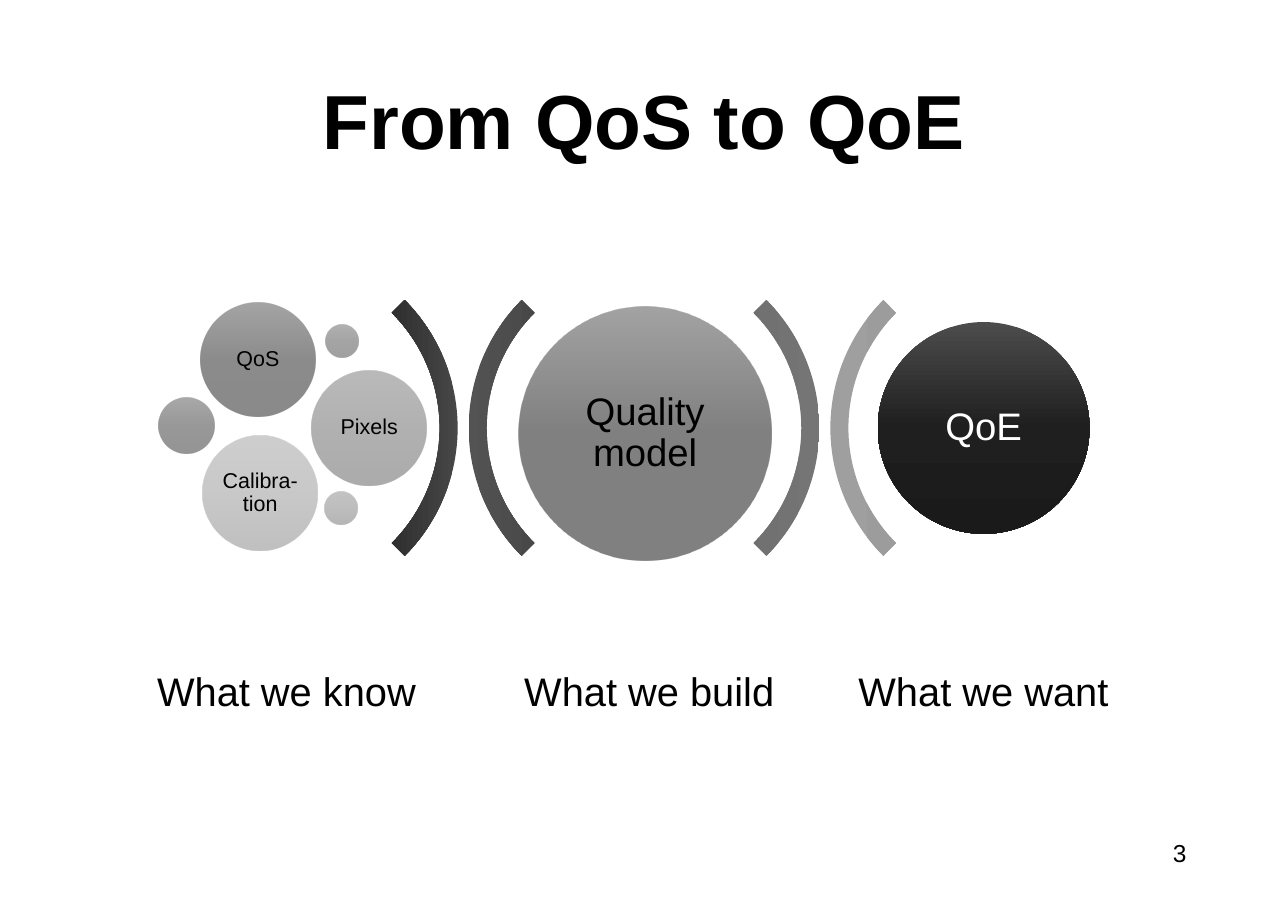
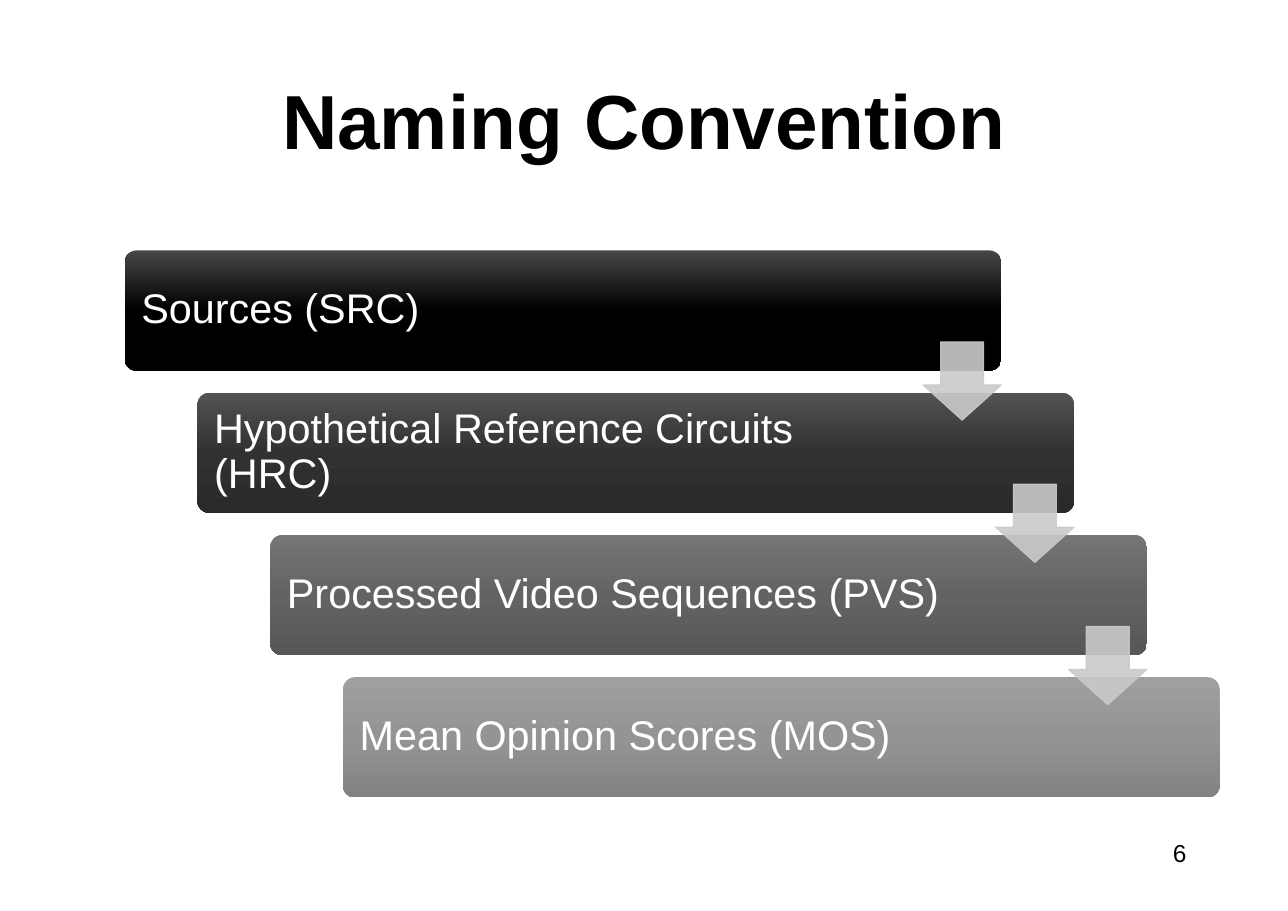
from pptx import Presentation
from pptx import util as u
from pptx.dml.color import RGBColor
from pptx.enum import shapes, text
from pptx.oxml.ns import qn
from lxml import etree

WIDTH, HEIGHT = 11.68, 8.26
BLACK = RGBColor(0x00, 0x00, 0x00)
WHITE = RGBColor(0xFF, 0xFF, 0xFF)
ARROW_GREY = RGBColor(0xCA, 0xCA, 0xCA)
INK = ("474747", "000000", "000000")
COAL = ("4A4A4A", "181818", "141414")
NIGHT = ("4C4C4C", "1F1F1F", "1A1A1A")
CHARCOAL = ("535353", "313131", "2A2A2A")
SLATE = ("636363", "4A4A4A", "414141")
STONE = ("757575", "636363", "575757")
ASH = ("8A8A8A", "7C7C7C", "6C6C6C")
SILVER = ("9F9F9F", "949494", "828282")

LEFT, CENTER, RIGHT = text.PP_ALIGN.LEFT, text.PP_ALIGN.CENTER, text.PP_ALIGN.RIGHT
MIDDLE, TOP = text.MSO_ANCHOR.MIDDLE, text.MSO_ANCHOR.TOP
KINDS = shapes.MSO_SHAPE

TITLE_BOX = (0.87, 0.39, 9.94, 1.38)
NUMBER_BOX = (10.44, 7.54, 0.38, 0.36)

FLOW = {"title": "From QoS to QoE", "number": "3"}
ARC_SIZE, ARC_TOP, ARC_LEFT, ARC_GAP = 3.28, 2.24, 0.87, 0.1
ARC_PAIRS = [(INK, CHARCOAL), (STONE, SILVER)]
CIRCLES = [
    ("Quality model", 5.85, 3.93, 2.3, 25, BLACK, COAL[:0] + INK, 50),
    ("QoS", 2.34, 3.26, 1.04, 14, BLACK, COAL, 50),
    ("", 1.69, 3.86, 0.51, 14, BLACK, CHARCOAL, 50),
    ("", 3.1, 3.09, 0.3, 14, BLACK, SLATE, 50),
    ("Pixels", 3.35, 3.88, 1.04, 14, BLACK, STONE, 50),
    ("", 3.09, 4.61, 0.3, 14, BLACK, ASH, 50),
    ("Calibra-\ntion", 2.36, 4.47, 1.04, 14, BLACK, SILVER, 50),
    ("QoE", 8.92, 3.88, 1.92, 25, WHITE, NIGHT, 100),
]
CAPTIONS = [("What we know", 2.6), ("What we build", 5.89), ("What we want", 8.92)]
CAPTION_TOP, CAPTION_WIDTH, CAPTION_HEIGHT = 5.96, 2.77, 0.66

NAMING = {"title": "Naming Convention", "number": "6"}
STEPS = [
    ("Sources (SRC)", INK),
    ("Hypothetical Reference Circuits (HRC)", CHARCOAL),
    ("Processed Video Sequences (PVS)", STONE),
    ("Mean Opinion Scores (MOS)", SILVER),
]
STEP_LEFT, STEP_TOP, STEP_WIDTH, STEP_HEIGHT = 1.13, 2.27, 7.95, 1.09
STEP_RIGHT, STEP_DOWN = 0.66, 1.29
ARROW_SIZE, ARROW_DROP = 0.71, 0.83


def inches(box):
    return [u.Inches(value) for value in box]


def apply(target, values):
    for name, value in values.items():
        setattr(target, name, value)


def write(shape, words, size, color, align=CENTER, anchor=MIDDLE, bold=False,
          spacing=0.9, insets=(0, 0, 0, 0)):
    frame = shape.text_frame
    sides = ("margin_left", "margin_top", "margin_right", "margin_bottom")
    apply(frame, {"word_wrap": True, "auto_size": text.MSO_AUTO_SIZE.NONE,
                  "vertical_anchor": anchor, **dict(zip(sides, inches(insets)))})
    paragraph = frame.paragraphs[0]
    paragraph.text = words
    apply(paragraph, {"alignment": align, "line_spacing": spacing,
                      "space_before": u.Pt(0)})
    for run in paragraph.runs:
        apply(run.font, {"name": "Arial", "size": u.Pt(size), "bold": bold})
        run.font.color.rgb = color


def add_text(slide, box, words, size, **style):
    write(slide.shapes.add_textbox(*inches(box)), words, size, BLACK, **style)


def add_shape(slide, kind, box, adjustments=(), rotation=0):
    shape = slide.shapes.add_shape(kind, *inches(box))
    shape.shadow.inherit = False
    shape.line.fill.background()
    shape.rotation = rotation
    for index, value in enumerate(adjustments):
        shape.adjustments[index] = value
    return shape


def shade(shape, colors):
    shape.fill.gradient()
    shape.fill.gradient_angle = 270
    stops = shape._element.spPr.find(qn("a:gradFill")).find(qn("a:gsLst"))
    for stop in list(stops):
        stops.remove(stop)
    for position, color in zip((0, 50000, 100000), colors):
        stop = etree.SubElement(stops, qn("a:gs"), pos=str(position))
        etree.SubElement(stop, qn("a:srgbClr"), val=color)


def fade(shape, percent):
    for color in shape._element.spPr.iter(qn("a:srgbClr")):
        etree.SubElement(color, qn("a:alpha"), val=str(percent * 1000))


def add_slide(presentation, content):
    slide = presentation.slides.add_slide(presentation.slide_layouts[5])
    title = slide.shapes.title
    apply(title, dict(zip(("left", "top", "width", "height"), inches(TITLE_BOX))))
    write(title, content["title"], 50, BLACK, bold=True, spacing=1.0,
          insets=(0.06,) * 4)
    add_text(slide, NUMBER_BOX, content["number"], 16, align=RIGHT, anchor=TOP,
             spacing=1.0, insets=(0.06,) * 4)
    return slide


def build_flow(presentation):
    slide = add_slide(presentation, FLOW)
    for index, pair in enumerate(ARC_PAIRS):
        closing = ARC_LEFT + index * ARC_SIZE
        opening = closing + ARC_SIZE + ARC_GAP
        for left, rotation, colors in zip((closing, opening), (90, 270), pair):
            arc = add_shape(slide, KINDS.BLOCK_ARC,
                            (left, ARC_TOP, ARC_SIZE, ARC_SIZE),
                            (135, 189, 0.05), rotation)
            shade(arc, colors)
    for words, x, y, diameter, size, color, colors, opacity in CIRCLES:
        circle = add_shape(slide, KINDS.OVAL, (x - diameter / 2, y - diameter / 2,
                                               diameter, diameter))
        shade(circle, colors)
        if opacity < 100:
            fade(circle, opacity)
        if words:
            write(circle, words, size, color)
    for words, x in CAPTIONS:
        add_text(slide, (x - CAPTION_WIDTH / 2, CAPTION_TOP, CAPTION_WIDTH,
                         CAPTION_HEIGHT), words, 26)


def build_naming(presentation):
    slide = add_slide(presentation, NAMING)
    corners = [(STEP_LEFT + index * STEP_RIGHT, STEP_TOP + index * STEP_DOWN)
               for index in range(len(STEPS))]
    for (words, colors), (left, top) in zip(STEPS, corners):
        bar = add_shape(slide, KINDS.ROUNDED_RECTANGLE,
                        (left, top, STEP_WIDTH, STEP_HEIGHT), (0.1,))
        shade(bar, colors)
        write(bar, words, 27, WHITE, align=LEFT, insets=(0.12, 0.11, 1.48, 0.11))
    for left, top in corners[:-1]:
        arrow = add_shape(slide, KINDS.DOWN_ARROW,
                          (left + STEP_WIDTH - ARROW_SIZE, top + ARROW_DROP,
                           ARROW_SIZE, ARROW_SIZE), (0.45, 0.55))
        arrow.adjustments[0], arrow.adjustments[1] = 0.55, 0.45
        for fill in (arrow.fill, arrow.line.fill):
            fill.solid()
            fill.fore_color.rgb = ARROW_GREY
        arrow.line.width = u.Pt(0.75)
        fade(arrow, 90)


def main():
    presentation = Presentation()
    apply(presentation, {"slide_width": u.Inches(WIDTH),
                         "slide_height": u.Inches(HEIGHT)})
    build_flow(presentation)
    build_naming(presentation)
    presentation.save("out.pptx")


if __name__ == "__main__":
    main()
